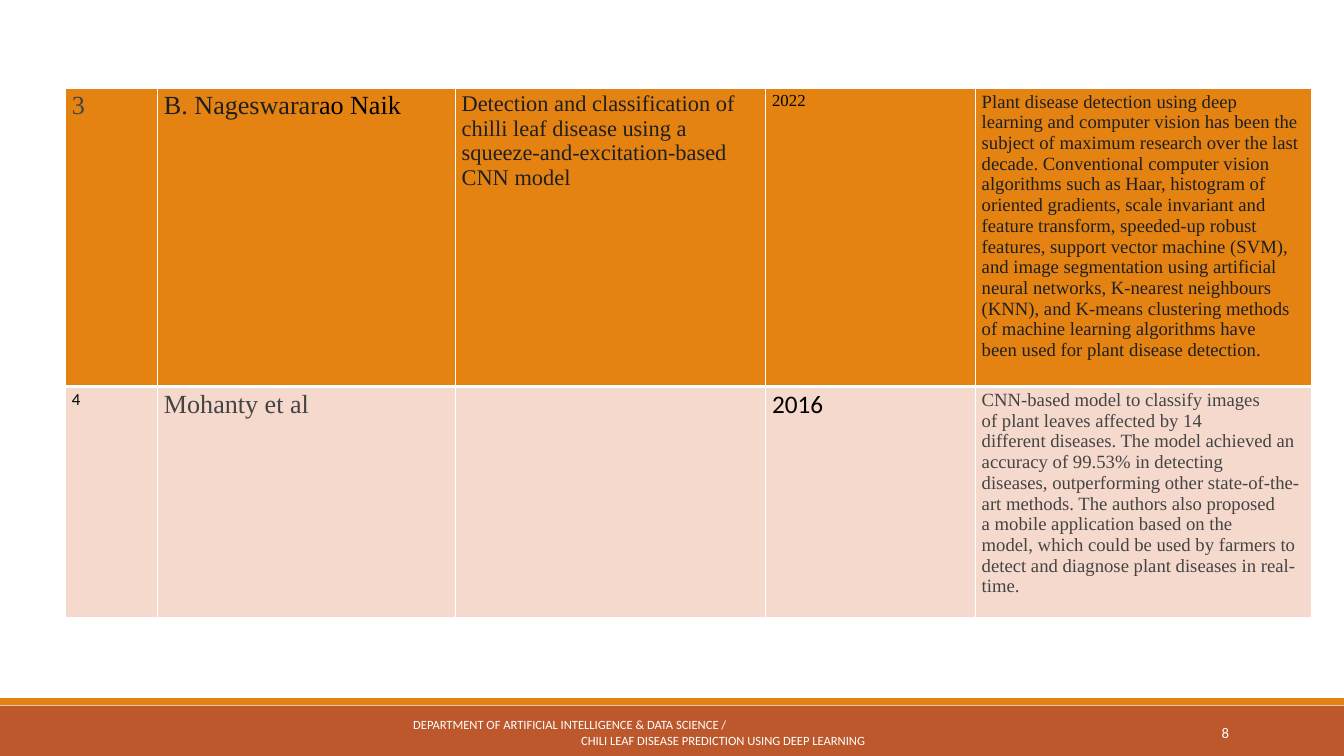
import dataclasses

import pptx
import pptx.dml.color
import pptx.enum.shapes
import pptx.enum.text
import pptx.oxml.ns
import pptx.util
from lxml import etree

WIDTH, HEIGHT = 20, 11.25
ORANGE, RUST, BLUSH, WHITE = "E48312", "BD582C", "F5D9CC", "FFFFFF"
BLACK, DARK, GREY = "000000", "1F1F1F", "444444"
SERIF, SANS = "Times New Roman", "Calibri"
ALIGN = pptx.enum.text.PP_ALIGN
COLUMN_WIDTHS = [1.37, 4.43, 4.62, 3.12, 5]


@dataclasses.dataclass
class Run:
    """Text in one style; ~ stands for a no-break space."""
    text: str
    size: float
    color: str
    font: str = SERIF


@dataclasses.dataclass
class Row:
    height: float
    fill: str
    bottom_border: float
    cells: list[list[Run]]


ROWS = [
    Row(4.44, ORANGE, 3, [
        [Run("3", 28, GREY)],
        [Run("B.~Nageswarar", 28, DARK), Run("ao~Naik", 28, BLACK)],
        [Run("Detection and classification of chilli leaf~disease using a "
             "squeeze-and-excitation-based CNN model", 24, DARK)],
        [Run("2022", 18, BLACK)],
        [Run("Plant disease detection using deep learning~and computer vision "
             "has been the subject of~maximum research over the last decade."
             "~Conventional computer vision algorithms~such as Haar, histogram "
             "of oriented~gradients, scale invariant and feature~transform, "
             "speeded-up robust features,~support vector machine (SVM), and "
             "image~segmentation using artificial neural~networks, K-nearest "
             "neighbours (KNN),~and K-means clustering methods of~machine "
             "learning algorithms have been~used for plant disease detection.",
             20, DARK)],
    ]),
    Row(3.43, BLUSH, 1, [
        [Run("4", 18, BLACK, SANS)],
        [Run("Mohanty et al", 28, GREY)],
        [],
        [Run("2016", 27, BLACK, SANS)],
        [Run("CNN-based model to classify images of~plant leaves affected by "
             "14 different~diseases. The model achieved an accuracy~of 99.53% "
             "in detecting diseases,~outperforming other state-of-the-art"
             "~methods. The authors also proposed a~mobile application based "
             "on the model,~which could be used by farmers to detect~and "
             "diagnose plant diseases in real-time.", 20, GREY)],
    ]),
]


def rgb(color: str) -> pptx.dml.color.RGBColor:
    return pptx.dml.color.RGBColor.from_string(color)


def add_run(p, run: Run) -> None:
    r = p.add_run()
    r.text = run.text.replace("~", chr(160))
    r.font.size = pptx.util.Pt(run.size)
    r.font.name = run.font
    r.font.color.rgb = rgb(run.color)


def add_bar(s, top: float, height: float, color: str) -> None:
    sp = s.shapes.add_shape(
        pptx.enum.shapes.MSO_SHAPE.RECTANGLE, 0, pptx.util.Inches(top),
        pptx.util.Inches(WIDTH), pptx.util.Inches(height))
    sp.shadow.inherit = False
    sp.fill.solid()
    sp.fill.fore_color.rgb = rgb(color)
    sp.line.fill.background()


def add_footer_box(s, left: float, width: float):
    """Add a text box in the footer band and return its text frame."""
    sp = s.shapes.add_textbox(
        pptx.util.Inches(left), pptx.util.Inches(10.6),
        pptx.util.Inches(width), pptx.util.Inches(0.6))
    tf = sp.text_frame
    tf.word_wrap = True
    tf.vertical_anchor = pptx.enum.text.MSO_ANCHOR.MIDDLE
    return tf


def set_borders(cell, bottom: float) -> None:
    """Draw white cell borders; they must precede the cell's fill."""
    tc_pr = cell._tc.get_or_add_tcPr()
    qn = pptx.oxml.ns.qn
    for side, width in (("L", 1), ("R", 1), ("T", 1), ("B", bottom)):
        ln = etree.SubElement(tc_pr, qn(f"a:ln{side}"),
                              w=str(pptx.util.Pt(width)))
        fill = etree.SubElement(ln, qn("a:solidFill"))
        etree.SubElement(fill, qn("a:srgbClr"), val=WHITE)


def add_survey_table(s, rows: list[Row]) -> None:
    table = s.shapes.add_table(
        len(rows), len(COLUMN_WIDTHS),
        pptx.util.Inches(0.97), pptx.util.Inches(1.31),
        pptx.util.Inches(sum(COLUMN_WIDTHS)),
        pptx.util.Inches(sum(row.height for row in rows))).table
    table.first_row = table.horz_banding = False
    for column, width in zip(table.columns, COLUMN_WIDTHS):
        column.width = pptx.util.Inches(width)
    for i, row in enumerate(rows):
        table.rows[i].height = pptx.util.Inches(row.height)
        for j, runs in enumerate(row.cells):
            cell = table.cell(i, j)
            set_borders(cell, row.bottom_border)
            cell.fill.solid()
            cell.fill.fore_color.rgb = rgb(row.fill)
            for run in runs:
                add_run(cell.text_frame.paragraphs[0], run)


def main() -> None:
    prs = pptx.Presentation()
    prs.slide_width = pptx.util.Inches(WIDTH)
    prs.slide_height = pptx.util.Inches(HEIGHT)
    s = prs.slides.add_slide(prs.slide_layouts[6])

    add_bar(s, 10.5, 0.75, RUST)
    add_bar(s, 10.39, 0.1, ORANGE)

    tf = add_footer_box(s, 6.05, 7.91)
    add_run(tf.paragraphs[0], Run(
        "DEPARTMENT OF ARTIFICIAL INTELLIGENCE & DATA SCIENCE /",
        13.5, WHITE, SANS))
    p = tf.add_paragraph()
    p._p.get_or_add_pPr().set("marL", str(pptx.util.Inches(2.5)))
    add_run(p, Run("CHILI LEAF DISEASE PREDICTION USING DEEP LEARNING",
                   13.5, WHITE, SANS))

    p = add_footer_box(s, 16.24, 2.15).paragraphs[0]
    p.alignment = ALIGN.RIGHT
    add_run(p, Run("8", 15.8, WHITE, SANS))

    add_survey_table(s, ROWS)
    prs.save("out.pptx")


if __name__ == "__main__":
    main()
